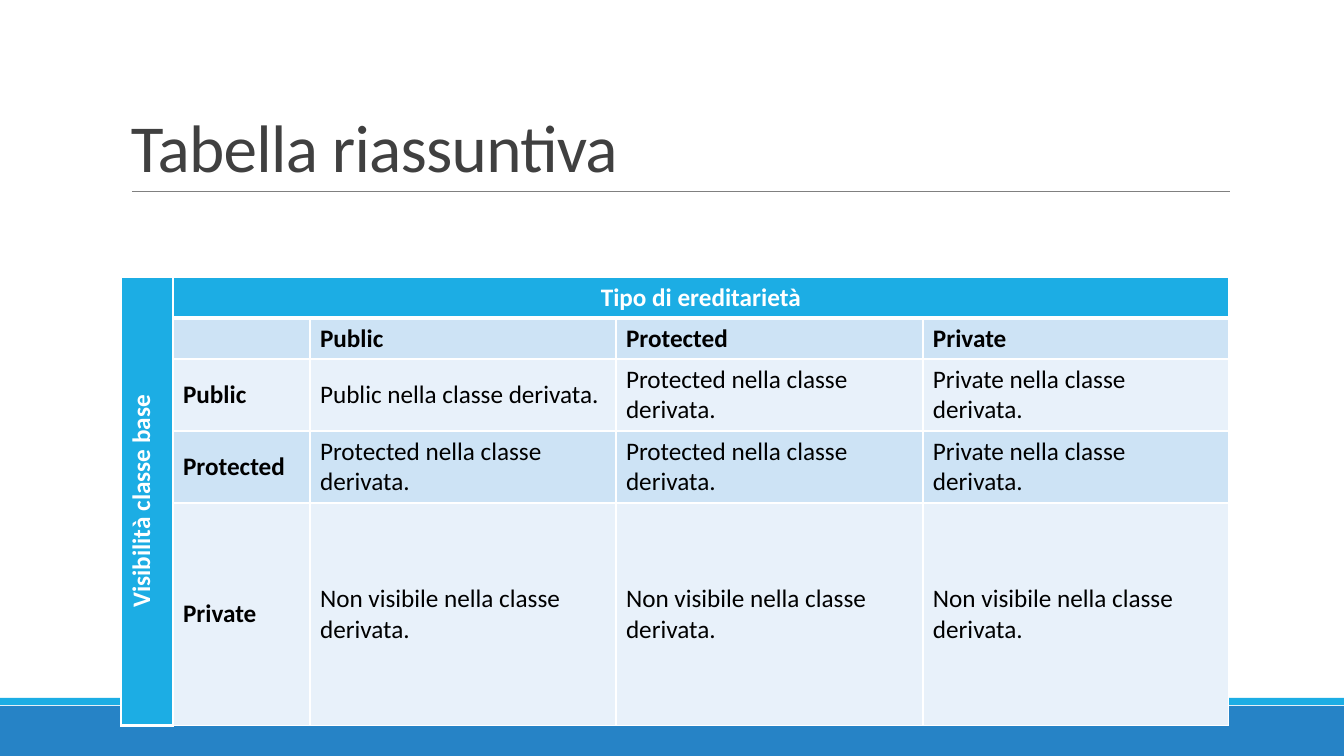
from pptx import Presentation
from pptx import util as u
from pptx.dml.color import RGBColor
from pptx.enum import shapes, text
from pptx.oxml import parse_xml
from pptx.oxml.ns import nsdecls

# Content
TITLE = "Tabella riassuntiva"
SIDE = "Visibilità classe base"
HEAD = "Tipo di ereditarietà"
KINDS = ["Public", "Protected", "Private"]
RULES = [
    ("Public", ["Public", "Protected", "Private"]),
    ("Protected", ["Protected", "Protected", "Private"]),
    ("Private", ["Non visibile"] * 3),
]
TAIL = " nella classe derivata."

# Layout in pixels
WIDE, HIGH = 1344, 756
COLS = [52, 137, 306, 307, 306]
ROWS = [41, 41, 72, 72, 72]
BARS = [(706, 50, "2683C6"), (698, 7, "1CADE4")]
ACCENT, DARK, PALE = "1CADE4", "CDE3F5", "E8F1FA"
WHITE, BLACK = "FFFFFF", "000000"


def px(n):
    return u.Emu(round(n * 914400 / 100.8))


def rgb(code):
    return RGBColor.from_string(code)


def write(par, words, size, color, bold=False):
    run = par.add_run()
    run.text = words
    font = run.font
    font.name, font.size, font.bold = "Calibri", u.Pt(size), bold
    font.color.rgb = rgb(color)
    return run


def edge(cell, base):
    props = cell._tc.get_or_add_tcPr()
    for i, side in enumerate("LRTB"):
        wide = u.Pt(base if side == "B" else 1)
        props.insert(i, parse_xml(
            f'<a:ln{side} {nsdecls("a")} w="{wide}"><a:solidFill>'
            f'<a:srgbClr val="{WHITE}"/></a:solidFill></a:ln{side}>'))


deck = Presentation()
deck.slide_width, deck.slide_height = px(WIDE), px(HIGH)
slide = deck.slides.add_slide(deck.slide_layouts[6])

# Footer bars
for top, high, color in BARS:
    bar = slide.shapes.add_shape(
        shapes.MSO_SHAPE.RECTANGLE, 0, px(top), px(WIDE), px(high))
    bar.shadow.inherit = False
    bar.fill.solid()
    bar.fill.fore_color.rgb = rgb(color)
    bar.line.fill.background()

# Title and rule below it
rule = slide.shapes.add_connector(
    shapes.MSO_CONNECTOR.STRAIGHT, px(132), px(191), px(1230), px(191))
rule.line.color.rgb = rgb("808080")
rule.line.width = u.Pt(0.5)
rule._element.spPr.append(parse_xml(f'<a:effectLst {nsdecls("a")}/>'))

box = slide.shapes.add_textbox(px(121), px(31), px(1109), px(160))
frame = box.text_frame
frame.word_wrap = True
frame.vertical_anchor = text.MSO_ANCHOR.BOTTOM
par = frame.paragraphs[0]
par.line_spacing = 0.85
run = write(par, TITLE, 48, "404040")
run._r.get_or_add_rPr().set("spc", "-50")

# Table
grid = [[SIDE, HEAD, "", "", ""], ["", ""] + KINDS]
grid += [["", kind] + [word + TAIL for word in words] for kind, words in RULES]
table = slide.shapes.add_table(
    len(ROWS), len(COLS), px(121), px(277), px(sum(COLS)), px(sum(ROWS))).table
table.first_row = table.horz_banding = False
for col, wide in zip(table.columns, COLS):
    col.width = px(wide)
for row, high in zip(table.rows, ROWS):
    row.height = px(high)
table.cell(0, 0).merge(table.cell(4, 0))
table.cell(0, 1).merge(table.cell(0, 4))

for r, line in enumerate(grid):
    for c, words in enumerate(line):
        cell = table.cell(r, c)
        top = r == 0 or c == 0
        cell.fill.solid()
        cell.fill.fore_color.rgb = rgb(ACCENT if top else DARK if r % 2 else PALE)
        edge(cell, 3 if top else 1)
        if r > 1 or c == 0:
            cell.vertical_anchor = text.MSO_ANCHOR.MIDDLE
        if words:
            par = cell.text_frame.paragraphs[0]
            if top:
                par.alignment = text.PP_ALIGN.CENTER
            write(par, words, 18, WHITE if top else BLACK, r < 2 or c == 1)
table.cell(0, 0)._tc.get_or_add_tcPr().set("vert", "vert270")

deck.save("out.pptx")
